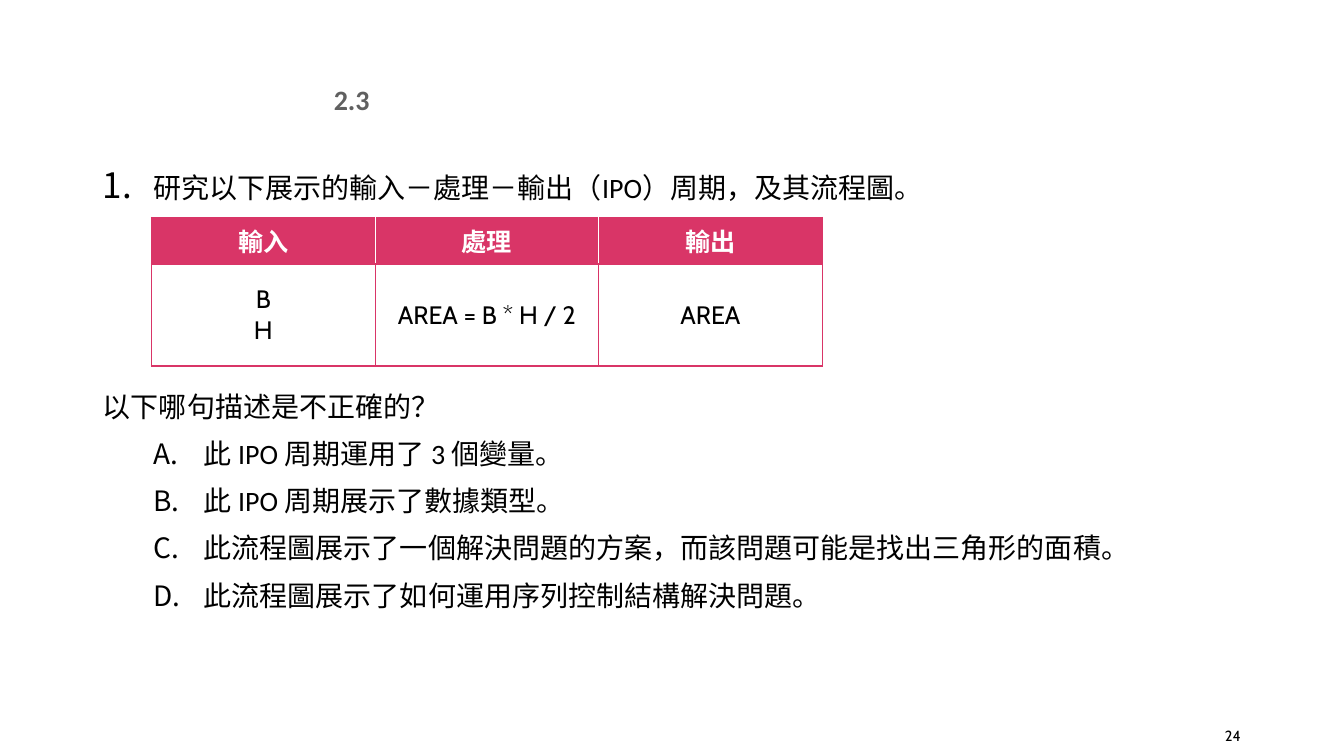
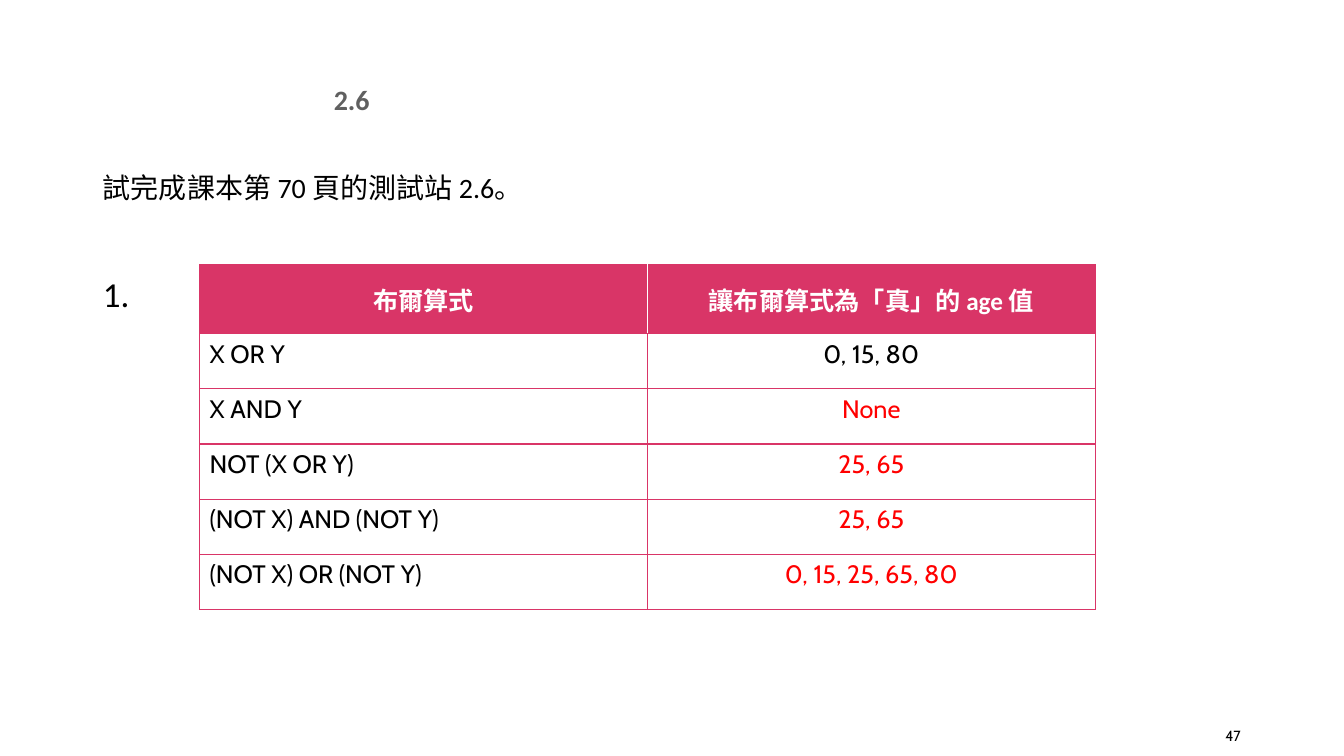
from lxml.etree import SubElement
from pptx import Presentation
from pptx.dml.color import RGBColor
from pptx.enum.text import MSO_ANCHOR, MSO_AUTO_SIZE, PP_ALIGN
from pptx.oxml import parse_xml
from pptx.oxml.ns import nsdecls, qn
from pptx.util import Cm, Pt

BLACK = RGBColor(0x00, 0x00, 0x00)
WHITE = RGBColor(0xFF, 0xFF, 0xFF)
GREY = RGBColor(0x60, 0x60, 0x60)
PINK = RGBColor(0xD9, 0x35, 0x67)
RED = RGBColor(0xFF, 0x00, 0x00)

ASIAN_FONT = "Noto Sans CJK TC"
BODY_FONT = "Calibri"
CELL_FONT = "Cabin"
LINE_HEIGHT = Pt(28.8)
INDENT = Cm(1.27)

BODY_BOX = (Cm(2.34), Cm(4.01), Cm(29.21), Cm(13.49))
TITLE_BOX = (Cm(7.67), Cm(2.11), Cm(2.39), Cm(0.79))
NUMBER_BOX = (Cm(29.39), Cm(18.03), Cm(2.13), Cm(1.02))


def write(paragraph, text, size=20, font=BODY_FONT, color=BLACK, bold=False,
          align=PP_ALIGN.LEFT):
    """Add one formatted run to a paragraph."""
    paragraph.alignment = align
    run = paragraph.add_run()
    run.text = text
    run.font.size = Pt(size)
    run.font.bold = bold
    run.font.name = font
    run.font.color.rgb = color
    SubElement(run.font._element, qn("a:ea"), typeface=ASIAN_FONT)


def place(shape, box):
    """Move and size a shape to a box."""
    shape.left, shape.top, shape.width, shape.height = box


def add_base_slide(presentation, section, number):
    """Add a slide with its section title and page number."""
    slide = presentation.slides.add_slide(presentation.slide_layouts[1])
    title = slide.shapes.title
    place(title, TITLE_BOX)
    number_box = slide.shapes.add_textbox(*NUMBER_BOX)
    for frame in (title.text_frame, number_box.text_frame):
        frame.word_wrap = True
        frame.auto_size = MSO_AUTO_SIZE.NONE
        frame.vertical_anchor = MSO_ANCHOR.MIDDLE
    write(title.text_frame.paragraphs[0], section, color=GREY, bold=True,
          align=PP_ALIGN.CENTER)
    write(number_box.text_frame.paragraphs[0], number, size=10.5,
          font=CELL_FONT, align=PP_ALIGN.RIGHT)
    return slide


def set_numbering(paragraph, scheme, level, scale):
    """Give a paragraph automatic numbering, or no bullet without a scheme."""
    properties = paragraph._p.get_or_add_pPr()
    properties.set("marL", str(INDENT * (level + 1) if scheme else 0))
    properties.set("indent", str(-INDENT if scheme else 0))
    if scheme:
        SubElement(properties, qn("a:buSzPct"), val=str(scale * 1000))
        SubElement(properties, qn("a:buFont"), typeface="+mj-lt")
        SubElement(properties, qn("a:buAutoNum"), type=scheme)
    else:
        SubElement(properties, qn("a:buNone"))


def fill_body(slide, box, items):
    """Fill the body placeholder with (text, space before, numbering, size)."""
    body = slide.placeholders[1]
    place(body, box)
    frame = body.text_frame
    frame.auto_size = MSO_AUTO_SIZE.NONE
    for index, (text, space, scheme, size) in enumerate(items):
        paragraph = frame.add_paragraph() if index else frame.paragraphs[0]
        level = 1 if scheme == "alphaUcPeriod" else 0
        paragraph.level = level
        set_numbering(paragraph, scheme, level, 100 if level else 125)
        paragraph.line_spacing = LINE_HEIGHT
        paragraph.space_before = Pt(space)
        write(paragraph, text, size=size)


def set_borders(cell, colors):
    """Draw the left, right, top and bottom borders of a cell."""
    properties = cell._tc.get_or_add_tcPr()
    for index, (side, color) in enumerate(zip("LRTB", colors)):
        properties.insert(index, parse_xml(
            f'<a:ln{side} {nsdecls("a")} w="12700"><a:solidFill>'
            f'<a:srgbClr val="{color}"/></a:solidFill></a:ln{side}>'))


def add_grid(slide, box, heights, rows, style_cell):
    """Add a table with a pink header; style_cell formats the body cells."""
    last = len(rows[0]) - 1
    frame = slide.shapes.add_table(len(rows), last + 1, *box)
    table = frame.table
    table.horz_banding = False
    for row, height in zip(table.rows, heights):
        row.height = height
    for row_index, row in enumerate(rows):
        header = row_index == 0
        for column, text in enumerate(row):
            cell = table.cell(row_index, column)
            if header:
                cell.fill.solid()
                cell.fill.fore_color.rgb = PINK
                style = dict(font=BODY_FONT, color=WHITE, bold=True,
                             align=PP_ALIGN.CENTER)
                anchor = MSO_ANCHOR.MIDDLE
            else:
                cell.fill.background()
                style, anchor = style_cell(row_index, column)
            cell.vertical_anchor = anchor
            inner = WHITE if header else PINK
            set_borders(cell, (inner if column else PINK,
                               inner if column < last else PINK, PINK, PINK))
            for index, line in enumerate(text.split("\n")):
                frame = cell.text_frame
                paragraph = frame.add_paragraph() if index else frame.paragraphs[0]
                write(paragraph, line, size=18, **style)


def style_cycle_cell(row, column):
    """Return the format of a cell in the input-output table."""
    return dict(font=CELL_FONT, align=PP_ALIGN.CENTER), MSO_ANCHOR.MIDDLE


def style_boolean_cell(row, column):
    """Return the format of a cell in the Boolean table, answers in red."""
    answer = column == 1 and row > 1
    return dict(font=CELL_FONT, color=RED if answer else BLACK,
                align=PP_ALIGN.CENTER if column else PP_ALIGN.LEFT), MSO_ANCHOR.TOP


def add_cycle_slide(presentation):
    """Build the question on the input-process-output cycle."""
    slide = add_base_slide(presentation, "2.3", "24")
    options = ("此 IPO 周期運用了 3 個變量。",
               "此 IPO 周期展示了數據類型。",
               "此流程圖展示了一個解決問題的方案，而該問題可能是找出三角形的面積。",
               "此流程圖展示了如何運用序列控制結構解決問題。")
    fill_body(slide, BODY_BOX, [
        ("研究以下展示的輸入－處理－輸出（IPO）周期，及其流程圖。", 0, "arabicPeriod", 20),
        ("以下哪句描述是不正確的？", 127, None, 20),
        *[(option, 5, "alphaUcPeriod", 20) for option in options]])
    add_grid(slide, (Cm(3.82), Cm(5.48), Cm(16.9), Cm(3.59)),
             (Cm(1.02), Cm(2.57)),
             [("輸入", "處理", "輸出"), ("B\nH", "AREA = B * H / 2", "AREA")],
             style_cycle_cell)


def add_boolean_slide(presentation):
    """Build the exercise on Boolean expressions."""
    slide = add_base_slide(presentation, "2.6", "47")
    fill_body(slide, BODY_BOX, [
        ("試完成課本第 70 頁的測試站 2.6。", 0, None, 20),
        ("1.", 50, None, 25)])
    rows = [("布爾算式", "讓布爾算式為「真」的 age 值"),
            ("X OR Y", "0, 15, 80"),
            ("X AND Y", "None"),
            ("NOT (X OR Y)", "25, 65"),
            ("(NOT X) AND (NOT Y)", "25, 65"),
            ("(NOT X) OR (NOT Y)", "0, 15, 25, 65, 80")]
    add_grid(slide, (Cm(5.03), Cm(6.67), Cm(22.57), Cm(8.69)),
             [Cm(1.74)] + [Cm(1.39)] * 5, rows, style_boolean_cell)


def main():
    """Create and save the presentation."""
    presentation = Presentation()
    presentation.slide_width = Cm(33.87)
    presentation.slide_height = Cm(19.05)
    add_cycle_slide(presentation)
    add_boolean_slide(presentation)
    presentation.save("out.pptx")


if __name__ == "__main__":
    main()
